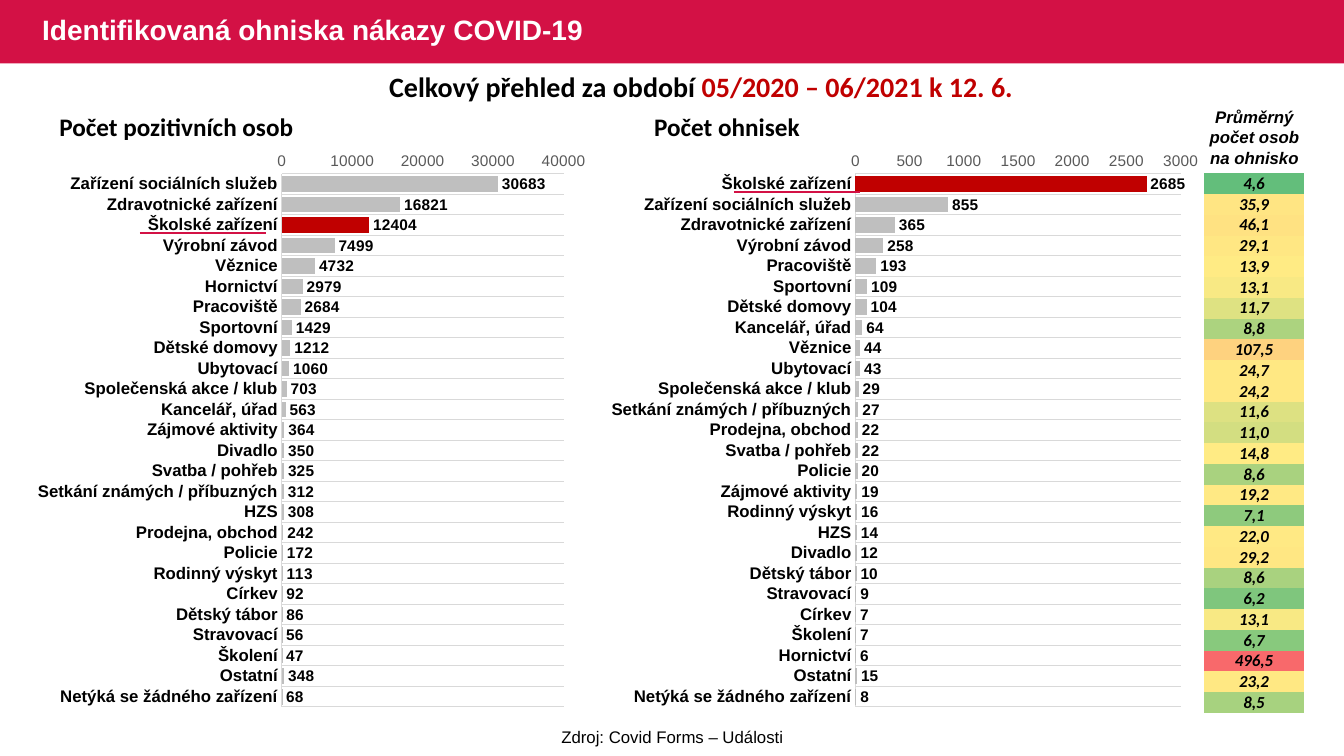
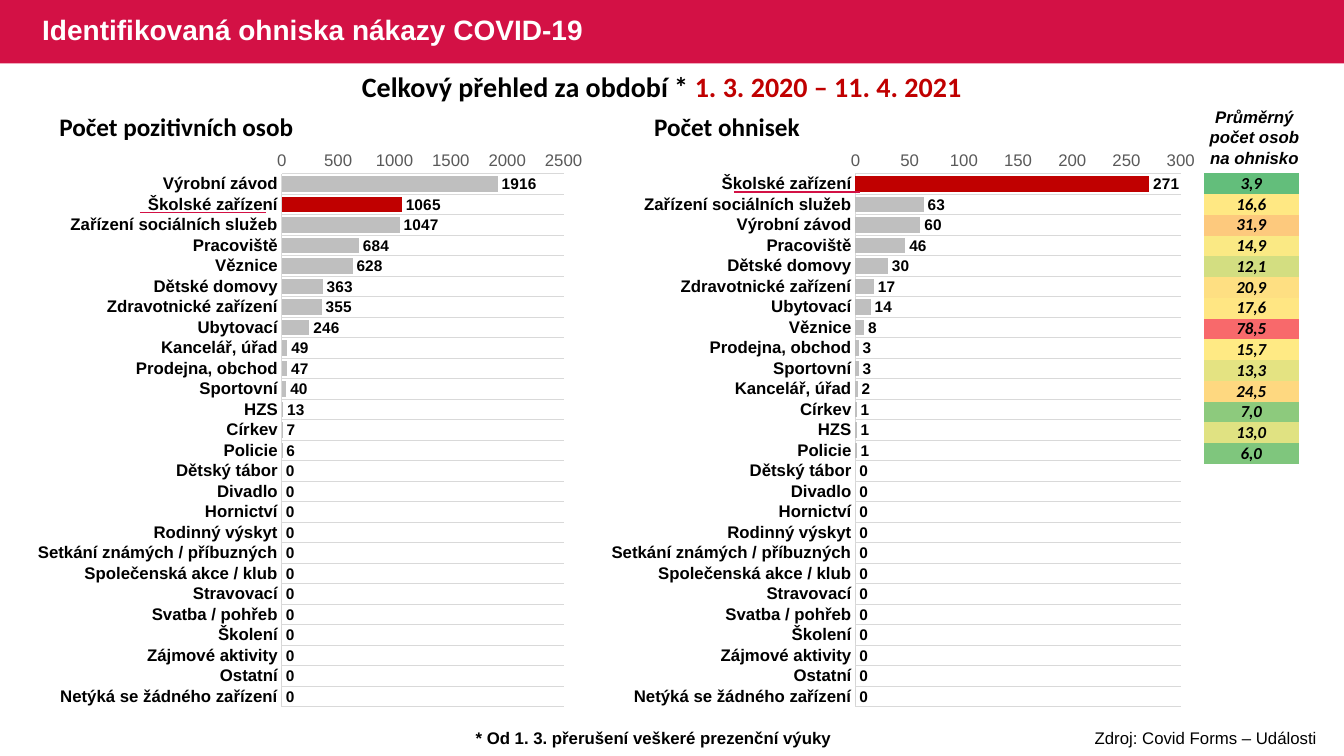
"""Build two slides on COVID-19 outbreaks by type of place."""
from dataclasses import dataclass
from typing import Optional

from lxml.etree import SubElement
from pptx import Presentation
from pptx.chart.data import CategoryChartData
from pptx.dml.color import RGBColor
from pptx.enum.chart import XL_CHART_TYPE, XL_LABEL_POSITION, XL_TICK_MARK
from pptx.enum.shapes import MSO_CONNECTOR, MSO_SHAPE
from pptx.enum.text import MSO_ANCHOR, PP_ALIGN
from pptx.oxml.ns import qn
from pptx.util import Inches, Pt

SLIDE_W, SLIDE_H = Inches(13.33), Inches(7.5)


@dataclass(frozen=True)
class Theme:
    band: str = "D31145"
    white: str = "FFFFFF"
    ink: str = "000000"
    accent: str = "C00000"
    bar: str = "BFBFBF"
    grid: str = "D9D9D9"
    axis: str = "595959"
    low: str = "63BE7B"
    middle: str = "FFEB84"
    high: str = "F8696B"
    sans: str = "Arial"
    head: str = "Calibri"
    title: int = 20
    heading: int = 18
    body: int = 12
    label: int = 11
    chart: int = 10


THEME = Theme()


@dataclass(frozen=True)
class Box:
    """A rectangle in percent of the slide's width and height."""
    left: float
    top: float
    width: float
    height: float

    def emu(self) -> tuple[int, int, int, int]:
        return (across(self.left), down(self.top),
                across(self.width), down(self.height))


@dataclass(frozen=True)
class Style:
    size: int = THEME.body
    font: str = THEME.sans
    color: str = THEME.ink
    bold: bool = False
    italic: bool = False


@dataclass(frozen=True)
class Panel:
    heading: str
    chart_left: float
    heading_left: float
    underline_left: float
    plot_x: float
    plot_w: float


@dataclass(frozen=True)
class Axis:
    maximum: int
    step: int


@dataclass(frozen=True)
class Note:
    text: str
    box: Box
    bold: bool = False
    wrap: bool = True


@dataclass(frozen=True)
class Overview:
    lead: str
    period: str
    period_left: float
    persons: dict[str, int]
    outbreaks: dict[str, int]
    axes: tuple[Axis, Axis]
    axis_size: int
    table_width: float
    notes: tuple[Note, ...]


TITLE = "Identifikovaná ohniska nákazy COVID-19"
SOURCE = "Zdroj: Covid Forms – Události"
AVERAGE = "Průměrný počet osob na ohnisko"
SCHOOL = "Školské zařízení"
PANELS = (Panel("Počet pozitivních osob", 0, 3.68, 10.4, 0.473, 0.473),
          Panel("Počet ohnisek", 45.3, 47.93, 54.6, 0.414, 0.546))
CHART_TOP, CHART_W, CHART_H = 18.13, 44.33, 76.93
PLOT_Y, PLOT_H = 0.063, 0.917
TABLE_LEFT, TABLE_TOP, TABLE_ROW = 89.55, 22.93, 2.75
BAND_H = 8.4
HEADING = Style(THEME.heading, THEME.head, bold=True)
PERIOD = Style(THEME.title, THEME.head, bold=True)
PERIOD_ACCENT = Style(THEME.title, THEME.head, THEME.accent, True)
CELL = Style(font=THEME.head, bold=True, italic=True)

NO_CASES = dict.fromkeys((
    "Dětský tábor", "Divadlo", "Hornictví", "Rodinný výskyt",
    "Setkání známých / příbuzných", "Společenská akce / klub", "Stravovací",
    "Svatba / pohřeb", "Školení", "Zájmové aktivity", "Ostatní",
    "Netýká se žádného zařízení"), 0)

OVERVIEWS = (
    Overview(
        "Celkový přehled za období ", "05/2020 – 06/2021 k 12. 6.", 26.63,
        {"Zařízení sociálních služeb": 30683, "Zdravotnické zařízení": 16821,
         SCHOOL: 12404, "Výrobní závod": 7499, "Věznice": 4732,
         "Hornictví": 2979, "Pracoviště": 2684, "Sportovní": 1429,
         "Dětské domovy": 1212, "Ubytovací": 1060,
         "Společenská akce / klub": 703, "Kancelář, úřad": 563,
         "Zájmové aktivity": 364, "Divadlo": 350, "Svatba / pohřeb": 325,
         "Setkání známých / příbuzných": 312, "HZS": 308,
         "Prodejna, obchod": 242, "Policie": 172, "Rodinný výskyt": 113,
         "Církev": 92, "Dětský tábor": 86, "Stravovací": 56, "Školení": 47,
         "Ostatní": 348, "Netýká se žádného zařízení": 68},
        {SCHOOL: 2685, "Zařízení sociálních služeb": 855,
         "Zdravotnické zařízení": 365, "Výrobní závod": 258,
         "Pracoviště": 193, "Sportovní": 109, "Dětské domovy": 104,
         "Kancelář, úřad": 64, "Věznice": 44, "Ubytovací": 43,
         "Společenská akce / klub": 29, "Setkání známých / příbuzných": 27,
         "Prodejna, obchod": 22, "Svatba / pohřeb": 22, "Policie": 20,
         "Zájmové aktivity": 19, "Rodinný výskyt": 16, "HZS": 14,
         "Divadlo": 12, "Dětský tábor": 10, "Stravovací": 9, "Církev": 7,
         "Školení": 7, "Hornictví": 6, "Ostatní": 15,
         "Netýká se žádného zařízení": 8},
        (Axis(40000, 10000), Axis(3000, 500)), THEME.label, 7.5,
        (Note(SOURCE, Box(35.48, 95.47, 29.1, 4)),)),
    Overview(
        "Celkový přehled za období * ", "1. 3. 2020 – 11. 4. 2021", 23.7,
        {"Výrobní závod": 1916, SCHOOL: 1065,
         "Zařízení sociálních služeb": 1047, "Pracoviště": 684,
         "Věznice": 628, "Dětské domovy": 363, "Zdravotnické zařízení": 355,
         "Ubytovací": 246, "Kancelář, úřad": 49, "Prodejna, obchod": 47,
         "Sportovní": 40, "HZS": 13, "Církev": 7, "Policie": 6, **NO_CASES},
        {SCHOOL: 271, "Zařízení sociálních služeb": 63, "Výrobní závod": 60,
         "Pracoviště": 46, "Dětské domovy": 30, "Zdravotnické zařízení": 17,
         "Ubytovací": 14, "Věznice": 8, "Prodejna, obchod": 3,
         "Sportovní": 3, "Kancelář, úřad": 2, "Církev": 1, "HZS": 1,
         "Policie": 1, **NO_CASES},
        (Axis(2500, 500), Axis(300, 50)), THEME.body, 7.1,
        (Note(SOURCE, Box(79.7, 95.6, 20.03, 4)),
         Note("* Od 1. 3. přerušení veškeré prezenční výuky",
              Box(34.65, 95.6, 27.98, 4), bold=True, wrap=False))),
)


def across(percent: float) -> int:
    return round(SLIDE_W * percent / 100)


def down(percent: float) -> int:
    return round(SLIDE_H * percent / 100)


def rgb(color: str) -> RGBColor:
    return RGBColor.from_string(color)


def format_font(font, style: Style) -> None:
    font.size, font.name = Pt(style.size), style.font
    font.bold, font.italic = style.bold, style.italic
    font.color.rgb = rgb(style.color)


def add_text(slide, box: Box, text: str, style: Style,
             align: Optional[PP_ALIGN] = None, wrap: bool = True):
    tf = slide.shapes.add_textbox(*box.emu()).text_frame
    tf.word_wrap = wrap
    tf.text = text
    p = tf.paragraphs[0]
    p.alignment = align
    format_font(p.runs[0].font, style)
    return tf


def add_title_band(slide) -> None:
    sp = slide.shapes.add_shape(MSO_SHAPE.RECTANGLE, 0, 0, SLIDE_W, down(BAND_H))
    sp.shadow.inherit = False
    sp.fill.solid()
    sp.fill.fore_color.rgb = rgb(THEME.band)
    sp.line.fill.background()
    tf = add_text(slide, Box(2.4, 0, 63.9, BAND_H), TITLE,
                  Style(THEME.title, color=THEME.white, bold=True))
    tf.vertical_anchor = MSO_ANCHOR.MIDDLE
    tf.paragraphs[0].line_spacing = 0.9


def set_plot_layout(chart, panel: Panel) -> None:
    area = chart._chartSpace.find(".//" + qn("c:plotArea"))
    for old in area.findall(qn("c:layout")):
        area.remove(old)
    layout = SubElement(area, qn("c:layout"))
    area.insert(0, layout)
    manual = SubElement(layout, qn("c:manualLayout"))
    for tag, value in (("layoutTarget", "inner"), ("xMode", "edge"),
                       ("yMode", "edge"), ("x", panel.plot_x), ("y", PLOT_Y),
                       ("w", panel.plot_w), ("h", PLOT_H)):
        SubElement(manual, qn(f"c:{tag}")).set("val", str(value))


def add_bar_chart(slide, panel: Panel, values: dict[str, int],
                  scale: Axis, axis_size: int) -> None:
    data = CategoryChartData()
    data.categories = list(values)
    data.add_series(panel.heading, list(values.values()))
    box = Box(panel.chart_left, CHART_TOP, CHART_W, CHART_H)
    chart = slide.shapes.add_chart(
        XL_CHART_TYPE.BAR_CLUSTERED, *box.emu(), data).chart
    chart.has_title = chart.has_legend = False
    format_font(chart.font, Style(THEME.chart))
    set_plot_layout(chart, panel)

    cat, val = chart.category_axis, chart.value_axis
    for axis in (cat, val):
        axis.major_tick_mark = axis.minor_tick_mark = XL_TICK_MARK.NONE
    cat.reverse_order = cat.has_major_gridlines = True
    for line in (cat.format.line, cat.major_gridlines.format.line):
        line.color.rgb, line.width = rgb(THEME.grid), Pt(0.75)
    format_font(cat.tick_labels.font, Style(bold=True))
    val.has_major_gridlines = False
    val.minimum_scale, val.maximum_scale = 0, scale.maximum
    val.major_unit = scale.step
    val.format.line.fill.background()
    format_font(val.tick_labels.font, Style(axis_size, color=THEME.axis))

    plot = chart.plots[0]
    plot.gap_width, plot.overlap, plot.vary_by_categories = 30, 100, False
    series = plot.series[0]
    series.invert_if_negative = False
    school = series.points[list(values).index(SCHOOL)]
    for item, color in ((series, THEME.bar), (school, THEME.accent)):
        item.format.fill.solid()
        item.format.fill.fore_color.rgb = rgb(color)
    labels = series.data_labels
    labels.show_value = True
    labels.position = XL_LABEL_POSITION.OUTSIDE_END
    format_font(labels.font, Style(THEME.label, bold=True))


def add_school_underline(slide, panel: Panel, values: dict[str, int]) -> None:
    row = list(values).index(SCHOOL) + 1
    y = down(CHART_TOP + CHART_H * (PLOT_Y + PLOT_H * row / len(values)) - 0.3)
    line = slide.shapes.add_connector(
        MSO_CONNECTOR.STRAIGHT, across(panel.underline_left), y,
        across(panel.underline_left + 9.4), y)
    line.line.color.rgb, line.line.width = rgb(THEME.band), Pt(1)
    SubElement(line._element.spPr, qn("a:effectLst"))


def heat_color(value: float, values: list[float]) -> RGBColor:
    """Shade a value from low through the median to high."""
    ranked, n = sorted(values), len(values)
    mid = (ranked[(n - 1) // 2] + ranked[n // 2]) / 2
    if value <= mid:
        start, end, share = THEME.low, THEME.middle, (value - ranked[0]) / (mid - ranked[0])
    else:
        start, end, share = THEME.middle, THEME.high, (value - mid) / (ranked[-1] - mid)
    return RGBColor(*(round(a + (b - a) * share) for a, b in zip(rgb(start), rgb(end))))


def add_average_table(slide, view: Overview) -> None:
    averages = {place: view.persons[place] / count
                for place, count in view.outbreaks.items() if count}
    rows = len(view.outbreaks)
    box = Box(TABLE_LEFT, TABLE_TOP, view.table_width, TABLE_ROW * rows)
    table = slide.shapes.add_table(rows, 1, *box.emu()).table
    table.first_row = table.horz_banding = False
    style_id = table._tbl.tblPr.find(qn("a:tableStyleId"))
    style_id.text = "{2D5ABB26-0587-4C30-8999-92F81FD0307C}"
    for cell, place in zip(table.iter_cells(), view.outbreaks):
        cell.margin_left = cell.margin_right = Inches(0.01)
        cell.margin_top = cell.margin_bottom = 0
        cell.vertical_anchor = MSO_ANCHOR.MIDDLE
        p = cell.text_frame.paragraphs[0]
        if place not in averages:
            cell.fill.background()
            SubElement(p._p, qn("a:endParaRPr")).set("sz", str(CELL.size * 100))
            continue
        cell.fill.solid()
        cell.fill.fore_color.rgb = heat_color(averages[place], list(averages.values()))
        p.text = f"{averages[place]:.1f}".replace(".", ",")
        p.alignment = PP_ALIGN.CENTER
        format_font(p.runs[0].font, CELL)


def add_overview(prs, view: Overview) -> None:
    slide = prs.slides.add_slide(prs.slide_layouts[6])
    add_title_band(slide)
    for panel, values, scale in zip(PANELS, (view.persons, view.outbreaks), view.axes):
        add_bar_chart(slide, panel, values, scale, view.axis_size)
        add_text(slide, Box(panel.heading_left, 14.13, 29.1, 5.33), panel.heading, HEADING)
        add_school_underline(slide, panel, values)
    tf = add_text(slide, Box(view.period_left, 8.53, 51.08, 5.87),
                  view.lead, PERIOD, PP_ALIGN.CENTER)
    r = tf.paragraphs[0].add_run()
    r.text = view.period
    format_font(r.font, PERIOD_ACCENT)
    add_text(slide, Box(89.02, 13.5, 8.63, 9.47), AVERAGE,
             Style(bold=True, italic=True), PP_ALIGN.CENTER)
    add_average_table(slide, view)
    for note in view.notes:
        add_text(slide, note.box, note.text, Style(bold=note.bold),
                 PP_ALIGN.CENTER if note.wrap else None, note.wrap)


def main() -> None:
    prs = Presentation()
    prs.slide_width, prs.slide_height = SLIDE_W, SLIDE_H
    for view in OVERVIEWS:
        add_overview(prs, view)
    prs.save("out.pptx")


if __name__ == "__main__":
    main()
